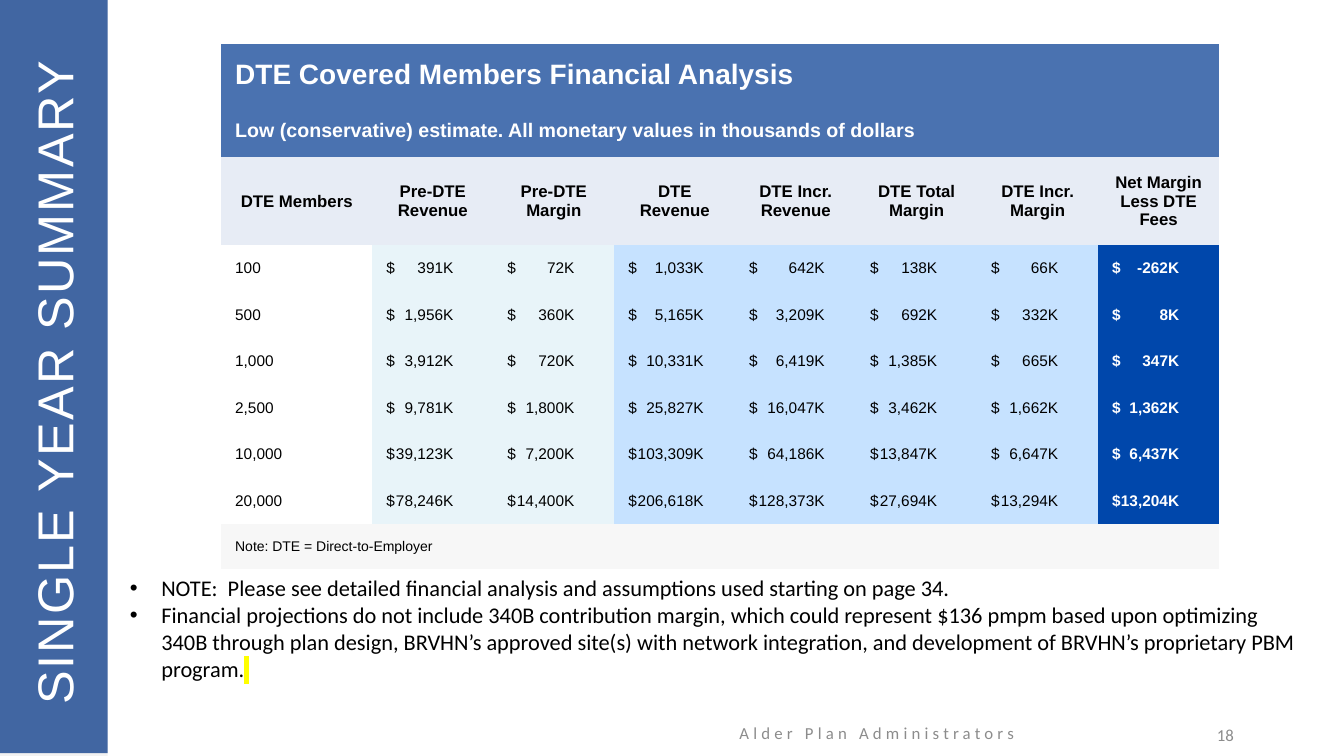
from lxml import etree
from pptx import Presentation
from pptx import util as u
from pptx.dml.color import RGBColor
from pptx.enum import shapes, text
from pptx.oxml.ns import qn

WHITE = RGBColor(0xFF, 0xFF, 0xFF)
BLACK = RGBColor(0x00, 0x00, 0x00)
GREY = RGBColor(0x8C, 0x8C, 0x8C)
BAR_BASE = RGBColor(0xF2, 0xF2, 0xF2)
BAR_BLUE = RGBColor(0x25, 0x4F, 0x96)
BANNER = RGBColor(0x4A, 0x72, 0xB0)
HEADING = RGBColor(0xE7, 0xEC, 0xF5)
BEFORE = RGBColor(0xE8, 0xF4, 0xF9)
AFTER = RGBColor(0xC6, 0xE2, 0xFF)
NET = RGBColor(0x00, 0x47, 0xAB)
NOTE = RGBColor(0xF7, 0xF7, 0xF7)
YELLOW = RGBColor(0xFF, 0xFF, 0x00)

PLAIN_TABLE_STYLE = "{2D5ABB26-0587-4C30-8999-92F81FD0307C}"
COLUMN_FILLS = [WHITE, BEFORE, BEFORE, AFTER, AFTER, AFTER, AFTER, NET]
AMOUNT_TABS = [0, 48, 48, 54, 54, 48, 48, 48]
HEADINGS = ["DTE Members", "Pre-DTE Revenue", "Pre-DTE Margin", "DTE Revenue",
            "DTE Incr. Revenue", "DTE Total Margin", "DTE Incr. Margin",
            "Net Margin Less DTE Fees"]
# Members, then amounts in thousands of dollars
ROWS = [
    (100, 391, 72, 1033, 642, 138, 66, -262),
    (500, 1956, 360, 5165, 3209, 692, 332, 8),
    (1000, 3912, 720, 10331, 6419, 1385, 665, 347),
    (2500, 9781, 1800, 25827, 16047, 3462, 1662, 1362),
    (10000, 39123, 7200, 103309, 64186, 13847, 6647, 6437),
    (20000, 78246, 14400, 206618, 128373, 27694, 13294, 13204),
]
NOTES = [
    "NOTE:  Please see detailed financial analysis and assumptions used starting on page 34.",
    "Financial projections do not include 340B contribution margin, which could represent "
    "$136 pmpm based upon optimizing 340B through plan design, BRVHN’s approved site(s) with "
    "network integration, and development of BRVHN’s proprietary PBM program.",
]


class SlideBuilder:
    def __init__(self, slide):
        self.slide = slide
        self.heading_font = "Arial"
        self.body_font = "Calibri"

    def bar(self, left, top, width, height, color, opacity=100):
        shape = self.slide.shapes.add_shape(
            shapes.MSO_SHAPE.RECTANGLE, u.Pt(left), u.Pt(top), u.Pt(width), u.Pt(height))
        shape.shadow.inherit = False
        shape.line.fill.background()
        shape.fill.solid()
        shape.fill.fore_color.rgb = color
        if opacity < 100:
            color_element = shape.fill._xPr.find(".//" + qn("a:srgbClr"))
            etree.SubElement(color_element, qn("a:alpha"), val=str(opacity * 1000))

    def style(self, paragraph, font, size, color, bold=False):
        paragraph.font.name = font
        paragraph.font.size = u.Pt(size)
        paragraph.font.color.rgb = color
        paragraph.font.bold = bold

    def run(self, paragraph, words, spacing=0):
        run = paragraph.add_run()
        run.text = words
        properties = run._r.get_or_add_rPr()
        if spacing:
            properties.set("spc", str(int(spacing * 100)))
        return properties

    def frame(self, left, top, width, height, anchor, rotation=0):
        box = self.slide.shapes.add_textbox(
            u.Pt(left), u.Pt(top), u.Pt(width), u.Pt(height))
        box.rotation = rotation
        box.text_frame.word_wrap = True
        box.text_frame.vertical_anchor = anchor
        return box.text_frame

    def label(self, words, left, top, width, height, font, size, color,
              align, spacing=0, rotation=0):
        frame = self.frame(left, top, width, height, text.MSO_ANCHOR.MIDDLE, rotation)
        paragraph = frame.paragraphs[0]
        paragraph.alignment = align
        self.style(paragraph, font, size, color)
        self.run(paragraph, words, spacing)

    def bullets(self, items, left, top, width, height, size, indent):
        frame = self.frame(left, top, width, height, text.MSO_ANCHOR.TOP)
        for index, item in enumerate(items):
            paragraph = frame.add_paragraph() if index else frame.paragraphs[0]
            properties = paragraph._p.get_or_add_pPr()
            properties.set("marL", str(u.Pt(indent)))
            properties.set("indent", str(u.Pt(-indent)))
            etree.SubElement(properties, qn("a:buFont"), typeface="Arial")
            etree.SubElement(properties, qn("a:buChar"), char="•")
            self.style(paragraph, self.body_font, size, BLACK)
            self.run(paragraph, item)
        # Yellow mark after the last note: one en space
        mark = self.run(paragraph, " ")
        highlight = etree.SubElement(mark, qn("a:highlight"))
        etree.SubElement(highlight, qn("a:srgbClr"), val=str(YELLOW))

    def table(self, left, top, widths, heights):
        frame = self.slide.shapes.add_table(
            len(heights), len(widths), u.Pt(left), u.Pt(top),
            u.Pt(sum(widths)), u.Pt(sum(heights)))
        table = frame.table
        table.first_row = table.horz_banding = False
        table._tbl.tblPr.find(qn("a:tableStyleId")).text = PLAIN_TABLE_STYLE
        for column, width in zip(table.columns, widths):
            column.width = u.Pt(width)
        for row, height in zip(table.rows, heights):
            row.height = u.Pt(height)
        return table

    def cell(self, cell, words, size, color, fill, bold=False, align=None, tab=0):
        cell.fill.solid()
        cell.fill.fore_color.rgb = fill
        cell.vertical_anchor = text.MSO_ANCHOR.MIDDLE
        cell.margin_left = cell.margin_right = u.Pt(10)
        cell.margin_top = cell.margin_bottom = u.Pt(10)
        paragraph = cell.text_frame.paragraphs[0]
        paragraph.alignment = align or text.PP_ALIGN.LEFT
        if tab:
            tabs = etree.SubElement(paragraph._p.get_or_add_pPr(), qn("a:tabLst"))
            etree.SubElement(tabs, qn("a:tab"), pos=str(u.Pt(tab)), algn="r")
        self.style(paragraph, self.heading_font, size, color, bold)
        self.run(paragraph, words)

    def wide_row(self, table, row, words, size, color, fill, bold=False):
        first = table.cell(row, 0)
        first.merge(table.cell(row, len(table.columns) - 1))
        self.cell(first, words, size, color, fill, bold)


def main():
    presentation = Presentation()
    presentation.slide_width, presentation.slide_height = u.Pt(960), u.Pt(540)
    builder = SlideBuilder(presentation.slides.add_slide(presentation.slide_layouts[6]))
    align = text.PP_ALIGN

    # Side bar, footer and rotated title
    builder.bar(0, 0, 77, 540, BAR_BASE)
    builder.label("Alder Plan Administrators", 464.4, 509, 324, 28.8,
                  builder.body_font, 12, GREY, align.CENTER, spacing=3)
    builder.label("18", 672.5, 510.5, 216, 28.8,
                  builder.body_font, 12, GREY, align.RIGHT)
    builder.bar(0, -2, 77, 540, BAR_BLUE, opacity=86)
    builder.label("SINGLE YEAR SUMMARY", -204, 239, 484, 59,
                  builder.heading_font, 36, WHITE, align.LEFT, spacing=1.5, rotation=270)

    # Notes under the table
    builder.bullets(NOTES, 85.7, 406.8, 856.8, 85, size=16, indent=22.5)

    # Financial table
    table = builder.table(158, 31.3, [108] + [86.4] * 7,
                          [44, 36.7, 62.9] + [33.2] * len(ROWS) + [32.1])
    builder.wide_row(table, 0, "DTE Covered Members Financial Analysis",
                     20, WHITE, BANNER, bold=True)
    builder.wide_row(table, 1, "Low (conservative) estimate. All monetary values in "
                     "thousands of dollars", 14, WHITE, BANNER, bold=True)
    for column, heading in enumerate(HEADINGS):
        builder.cell(table.cell(2, column), heading, 12, BLACK, HEADING,
                     bold=True, align=align.CENTER)
    for row, values in enumerate(ROWS, start=3):
        for column, value in enumerate(values):
            fill = COLUMN_FILLS[column]
            is_net = fill == NET
            words = f"$\t{value:,}K" if column else f"{value:,}"
            builder.cell(table.cell(row, column), words, 11, WHITE if is_net else BLACK,
                         fill, bold=is_net, tab=AMOUNT_TABS[column])
    builder.wide_row(table, len(ROWS) + 3, "Note: DTE = Direct-to-Employer",
                     10, BLACK, NOTE)

    presentation.save("out.pptx")


if __name__ == "__main__":
    main()
